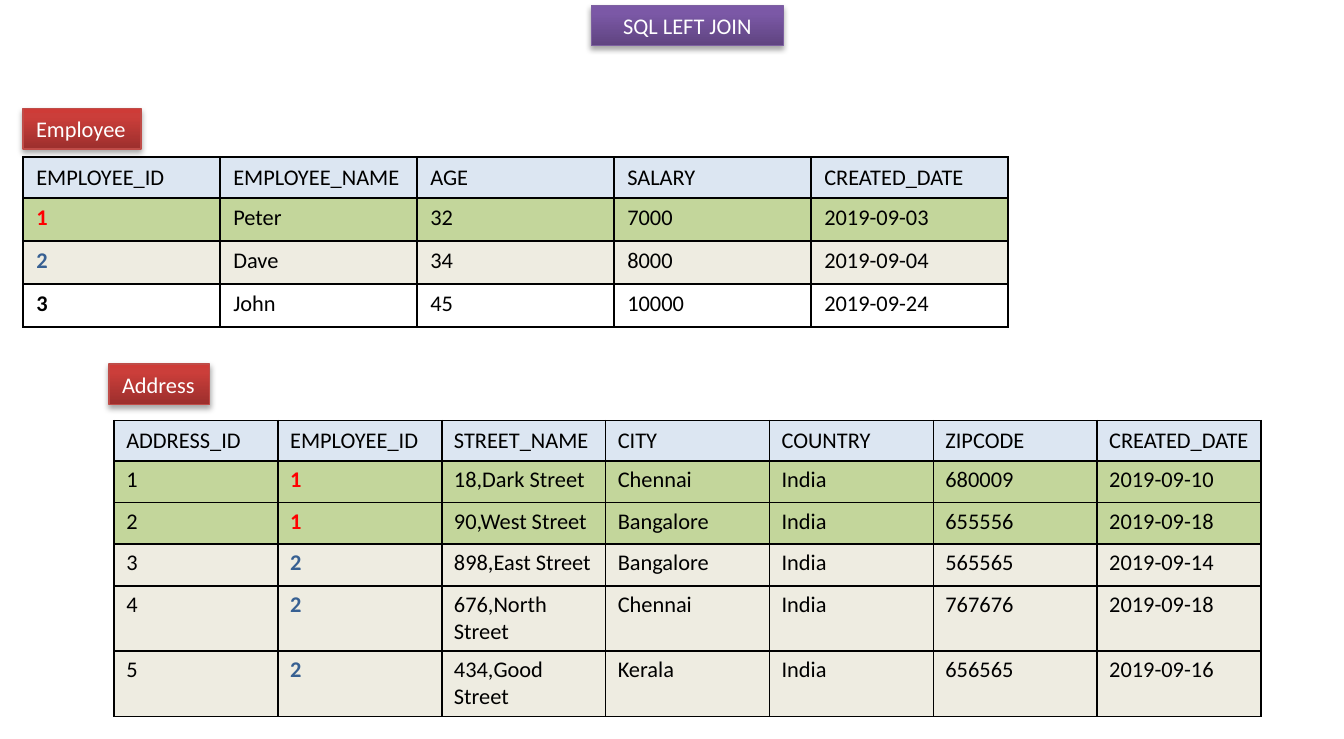
from copy import deepcopy
from lxml.etree import SubElement
from pptx import Presentation
from pptx.dml.color import RGBColor
from pptx.enum.shapes import MSO_SHAPE
from pptx.enum.text import MSO_ANCHOR, MSO_AUTO_SIZE, PP_ALIGN
from pptx.oxml.ns import qn
from pptx.util import Inches, Pt

BLACK, WHITE, RED, BLUE = "000000", "FFFFFF", "FF0000", "376092"
HEADER, GREEN, CREAM = "DCE6F2", "C3D69B", "EEECE1"


def rgb(value):
    return RGBColor.from_string(value)


def style_text(frame, text, color, bold=False):
    paragraph = frame.paragraphs[0]
    run = paragraph.add_run()
    run.text = text
    for name, value in {"name": "Calibri", "size": Pt(12), "bold": bold}.items():
        setattr(run.font, name, value)
    run.font.color.rgb = rgb(color)
    return paragraph


presentation = Presentation()
presentation.slide_width = Inches(10)
presentation.slide_height = Inches(5.5)
slide = presentation.slides.add_slide(presentation.slide_layouts[6])

# Tables: each body row carries its fill; the key column is bold and coloured by employee
employee = {
    "place": (0.17, 1.17), "column": 1.466, "heights": [0.22] + [0.32] * 3,
    "margins": (0.1, 0.05), "key": 0,
    "key_colors": {"1": RED, "2": BLUE, "3": BLACK},
    "fills": [HEADER, GREEN, CREAM, WHITE],
    "rows": [
        ["EMPLOYEE_ID", "EMPLOYEE_NAME", "AGE", "SALARY", "CREATED_DATE"],
        ["1", "Peter", "32", "7000", "2019-09-03"],
        ["2", "Dave", "34", "8000", "2019-09-04"],
        ["3", "John", "45", "10000", "2019-09-24"],
    ],
}
address = {
    "place": (0.85, 3.13), "column": 1.219, "heights": [0.3] + [0.31] * 3 + [0.34] * 2,
    "margins": (0.09, 0.04), "key": 1,
    "key_colors": {"1": RED, "2": BLUE},
    "fills": [HEADER] + [GREEN] * 2 + [CREAM] * 3,
    "rows": [
        ["ADDRESS_ID", "EMPLOYEE_ID", "STREET_NAME", "CITY", "COUNTRY", "ZIPCODE", "CREATED_DATE"],
        ["1", "1", "18,Dark Street", "Chennai", "India", "680009", "2019-09-10"],
        ["2", "1", "90,West Street", "Bangalore", "India", "655556", "2019-09-18"],
        ["3", "2", "898,East Street", "Bangalore", "India", "565565", "2019-09-14"],
        ["4", "2", "676,North Street", "Chennai", "India", "767676", "2019-09-18"],
        ["5", "2", "434,Good Street", "Kerala", "India", "656565", "2019-09-16"],
    ],
}

for data in (employee, address):
    rows = data["rows"]
    left, top = data["place"]
    table = slide.shapes.add_table(
        len(rows), len(rows[0]), Inches(left), Inches(top),
        Inches(data["column"] * len(rows[0])), Inches(sum(data["heights"]))).table
    table.first_row = table.horz_banding = False
    for column in table.columns:
        column.width = Inches(data["column"])
    side, edge = data["margins"]
    for r, row in enumerate(rows):
        table.rows[r].height = Inches(data["heights"][r])
        for c, text in enumerate(row):
            cell = table.cell(r, c)
            cell.margin_left = cell.margin_right = Inches(side)
            cell.margin_top = cell.margin_bottom = Inches(edge)
            cell.vertical_anchor = MSO_ANCHOR.MIDDLE if r == 0 else MSO_ANCHOR.TOP
            # Borders come before the fill in the cell properties
            for border in ("a:lnL", "a:lnR", "a:lnT", "a:lnB"):
                line = SubElement(cell._tc.get_or_add_tcPr(), qn(border), w=str(Pt(1)))
                SubElement(SubElement(line, qn("a:solidFill")), qn("a:srgbClr"), val=BLACK)
            cell.fill.solid()
            cell.fill.fore_color.rgb = rgb(data["fills"][r])
            is_key = r > 0 and c == data["key"]
            color = data["key_colors"][text] if is_key else BLACK
            style_text(cell.text_frame, text, color, is_key)

# Title and table labels
purple = ("5F4480", "7B58A6", "7C57A8"), "7D60A0"
red = ("9C2F2D", "CB3E3A", "CE3B37"), "BF4C48"
labels = [
    ("SQL LEFT JOIN", 4.4, 0.04, 1.43, purple, PP_ALIGN.CENTER, True),
    ("Employee", 0.17, 0.81, 0.88, red, PP_ALIGN.LEFT, False),
    ("Address", 0.81, 2.71, 0.75, red, PP_ALIGN.LEFT, False),
]
for text, left, top, width, (gradient, outline), alignment, wrap in labels:
    label = slide.shapes.add_shape(
        MSO_SHAPE.RECTANGLE, Inches(left), Inches(top), Inches(width), Inches(0.3))

    # Three-stop gradient, running from bottom to top
    label.fill.gradient()
    label.fill.gradient_angle = 90
    stop_list = label._element.spPr.find(".//" + qn("a:gsLst"))
    stop_list.append(deepcopy(stop_list[-1]))
    for stop, position, color in zip(label.fill.gradient_stops, (0, 0.8, 1), gradient):
        stop.position = position
        stop.color.rgb = rgb(color)
    label.line.color.rgb = rgb(outline)
    label.line.width = Pt(0.75)

    # Soft shadow straight below
    label.shadow.inherit = False
    effects = label._element.spPr.find(qn("a:effectLst"))
    shadow = SubElement(effects, qn("a:outerShdw"), blurRad=str(Pt(3.1)),
                        dist=str(Pt(1.8)), dir="5400000", rotWithShape="0")
    shade = SubElement(shadow, qn("a:srgbClr"), val=BLACK)
    SubElement(shade, qn("a:alpha"), val="35000")

    frame = label.text_frame
    frame.word_wrap = wrap
    frame.auto_size = MSO_AUTO_SIZE.SHAPE_TO_FIT_TEXT
    frame.vertical_anchor = MSO_ANCHOR.TOP
    style_text(frame, text, WHITE).alignment = alignment

presentation.save("out.pptx")
